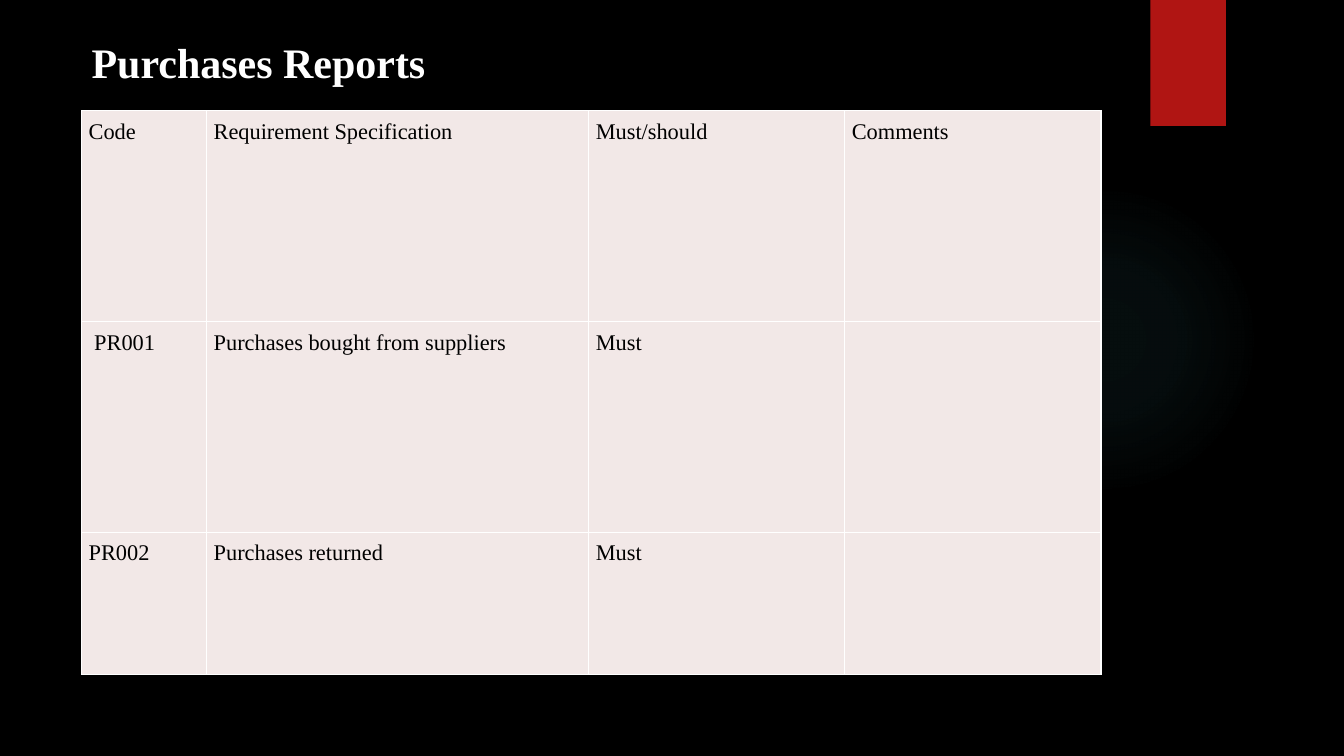
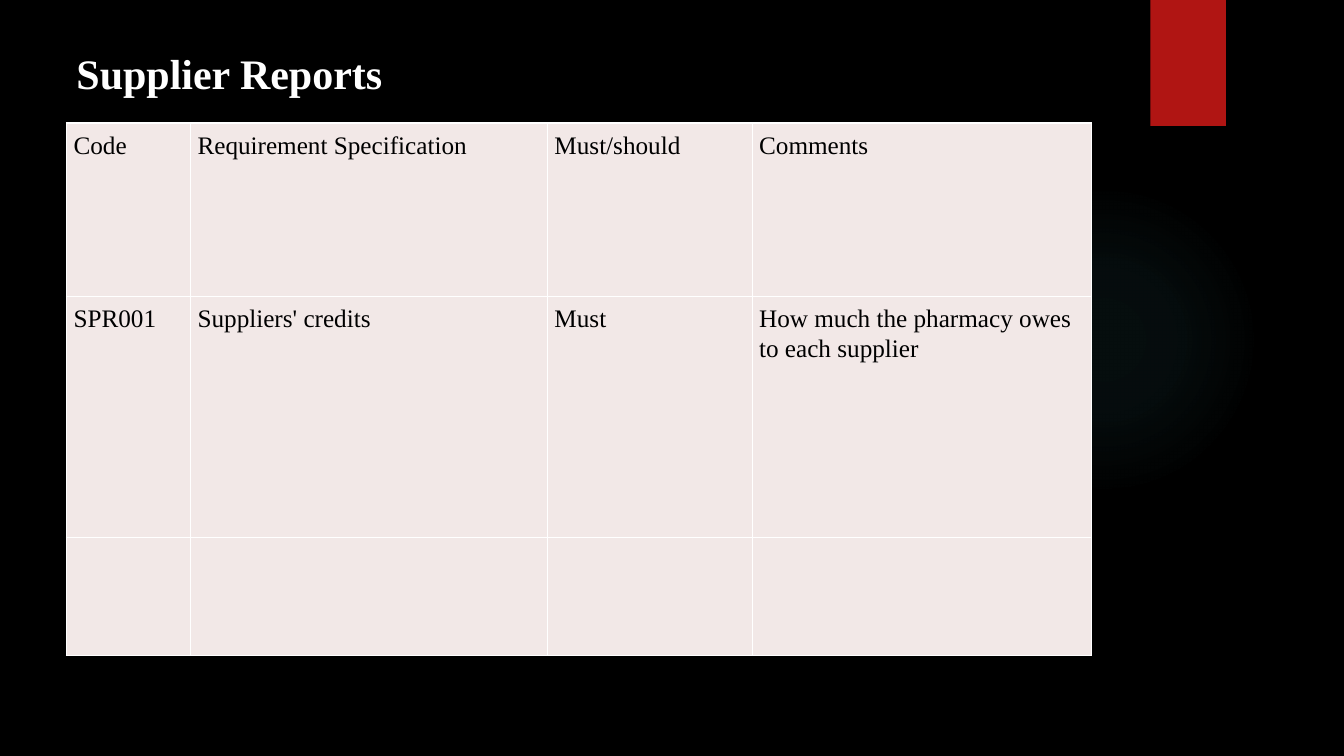
from dataclasses import dataclass
from typing import Any

import lxml.etree
import pptx
import pptx.dml.color
import pptx.enum.shapes
import pptx.enum.text
import pptx.oxml
import pptx.oxml.ns
import pptx.slide
import pptx.text.text
import pptx.util

Inches = pptx.util.Inches
Pt = pptx.util.Pt


@dataclass(frozen=True)
class Theme:
    background: str = "000000"
    accent: str = "B01513"
    glow: str = "50B9C1"
    cell: str = "F2E8E7"
    border: str = "FFFFFF"
    title_color: str = "FFFFFF"
    body_color: str = "000000"
    font: str = "Times New Roman"
    title_size: float = 30
    line_spacing: float = 1.07
    space_after: float = 8
    cell_inset: float = 0.07
    border_width: float = 1


@dataclass(frozen=True)
class Box:
    left: float
    top: float
    width: float
    height: float

    def lengths(self) -> list[pptx.util.Length]:
        return [Inches(v) for v in (self.left, self.top, self.width, self.height)]


@dataclass(frozen=True)
class Report:
    title: str
    title_box: Box
    table_left: float
    table_top: float
    columns: tuple[float, ...]
    rows: tuple[float, ...]
    text_size: float
    requirements: tuple[tuple[str, ...], ...]


THEME = Theme()
GLOW_BOX = Box(9.41, 1.83, 3.08, 3.08)
TAB_BOX = Box(11.41, 0, 0.75, 1.25)
GLOW_STOPS = ((0, 7), (36, 6), (69, 0))  # position and opacity, in percent
HEADINGS = ("Code", "Requirement Specification", "Must/should", "Comments")

REPORTS = (
    Report(
        "Purchases Reports", Box(0.81, 0.28, 6.92, 0.62), 0.81, 1.1,
        (1.24, 3.79, 2.54, 2.54), (2.09, 2.09, 1.41), 16,
        (
            (" PR001", "Purchases bought from suppliers", "Must", ""),
            ("PR002", "Purchases returned", "Must", ""),
        ),
    ),
    Report(
        "Supplier Reports", Box(0.66, 0.39, 8.66, 0.61), 0.66, 1.22,
        (1.23, 3.54, 2.03, 3.37), (1.72, 2.39, 1.17), 18,
        (
            ("SPR001", "Suppliers' credits", "Must",
             "How much the pharmacy owes to each supplier"),
            ("", "", "", ""),
        ),
    ),
)


def rgb(color: str) -> pptx.dml.color.RGBColor:
    return pptx.dml.color.RGBColor.from_string(color)


def apply_format(target: Any, values: dict[str, Any]) -> None:
    for name, value in values.items():
        setattr(target, name, value)


def parse_drawing(tag: str, attributes: str, content: str) -> lxml.etree.ElementBase:
    return pptx.oxml.parse_xml(
        f'<a:{tag} {pptx.oxml.ns.nsdecls("a")} {attributes}>{content}</a:{tag}>'
    )


def write_text(frame: pptx.text.text.TextFrame, text: str, size: float,
               color: str, bold: bool = False) -> None:
    paragraph = frame.paragraphs[0]
    apply_format(paragraph, {
        "line_spacing": THEME.line_spacing,
        "space_after": Pt(THEME.space_after),
    })
    run = paragraph.add_run()
    run.text = text
    apply_format(run.font, {"name": THEME.font, "size": Pt(size), "bold": bold})
    run.font.color.rgb = rgb(color)


# Background, soft glow and red tab
def draw_backdrop(slide: pptx.slide.Slide) -> None:
    slide.background.fill.solid()
    slide.background.fill.fore_color.rgb = rgb(THEME.background)

    kinds = pptx.enum.shapes.MSO_SHAPE
    glow = slide.shapes.add_shape(kinds.OVAL, *GLOW_BOX.lengths())
    tab = slide.shapes.add_shape(kinds.RECTANGLE, *TAB_BOX.lengths())
    for decoration in (glow, tab):
        decoration.shadow.inherit = False
        decoration.line.fill.background()
    tab.fill.solid()
    tab.fill.fore_color.rgb = rgb(THEME.accent)

    stops = "".join(
        f'<a:gs pos="{position * 1000}"><a:srgbClr val="{THEME.glow}">'
        f'<a:alpha val="{opacity * 1000}"/></a:srgbClr></a:gs>'
        for position, opacity in GLOW_STOPS
    )
    gradient = parse_drawing(
        "gradFill", 'rotWithShape="1"',
        f'<a:gsLst>{stops}</a:gsLst><a:path path="circle">'
        '<a:fillToRect l="50000" t="50000" r="50000" b="50000"/></a:path>',
    )
    glow.fill.background()
    properties = glow._element.spPr
    properties.replace(properties.find(pptx.oxml.ns.qn("a:noFill")), gradient)


def draw_title(slide: pptx.slide.Slide, report: Report) -> None:
    frame = slide.shapes.add_textbox(*report.title_box.lengths()).text_frame
    apply_format(frame, {
        "word_wrap": True,
        "auto_size": pptx.enum.text.MSO_AUTO_SIZE.SHAPE_TO_FIT_TEXT,
    })
    write_text(frame, report.title, THEME.title_size, THEME.title_color, bold=True)


def style_cell(cell: Any) -> None:
    sides = ("left", "right", "top", "bottom")
    apply_format(cell, {f"margin_{side}": Inches(THEME.cell_inset) for side in sides})
    cell.fill.solid()
    cell.fill.fore_color.rgb = rgb(THEME.cell)
    properties = cell._tc.get_or_add_tcPr()
    for index, side in enumerate(sides):
        properties.insert(index, parse_drawing(
            f"ln{side[0].upper()}", f'w="{Pt(THEME.border_width)}"',
            f'<a:solidFill><a:srgbClr val="{THEME.border}"/></a:solidFill>',
        ))


# Requirements table, headings first
def draw_requirements(slide: pptx.slide.Slide, report: Report) -> None:
    area = Box(report.table_left, report.table_top,
               sum(report.columns), sum(report.rows))
    table = slide.shapes.add_table(
        len(report.rows), len(report.columns), *area.lengths()
    ).table
    apply_format(table, {"first_row": False, "horz_banding": False})
    for column, width in zip(table.columns, report.columns):
        column.width = Inches(width)
    for row, height in zip(table.rows, report.rows):
        row.height = Inches(height)
    for row, texts in zip(table.rows, (HEADINGS, *report.requirements)):
        for cell, text in zip(row.cells, texts):
            style_cell(cell)
            if text:
                write_text(cell.text_frame, text, report.text_size, THEME.body_color)


def build() -> None:
    deck = pptx.Presentation()
    apply_format(deck, {"slide_width": Inches(13.33), "slide_height": Inches(7.5)})
    blank = deck.slide_layouts[6]
    for report in REPORTS:
        slide = deck.slides.add_slide(blank)
        draw_backdrop(slide)
        draw_requirements(slide, report)
        draw_title(slide, report)
    deck.save("out.pptx")


build()
